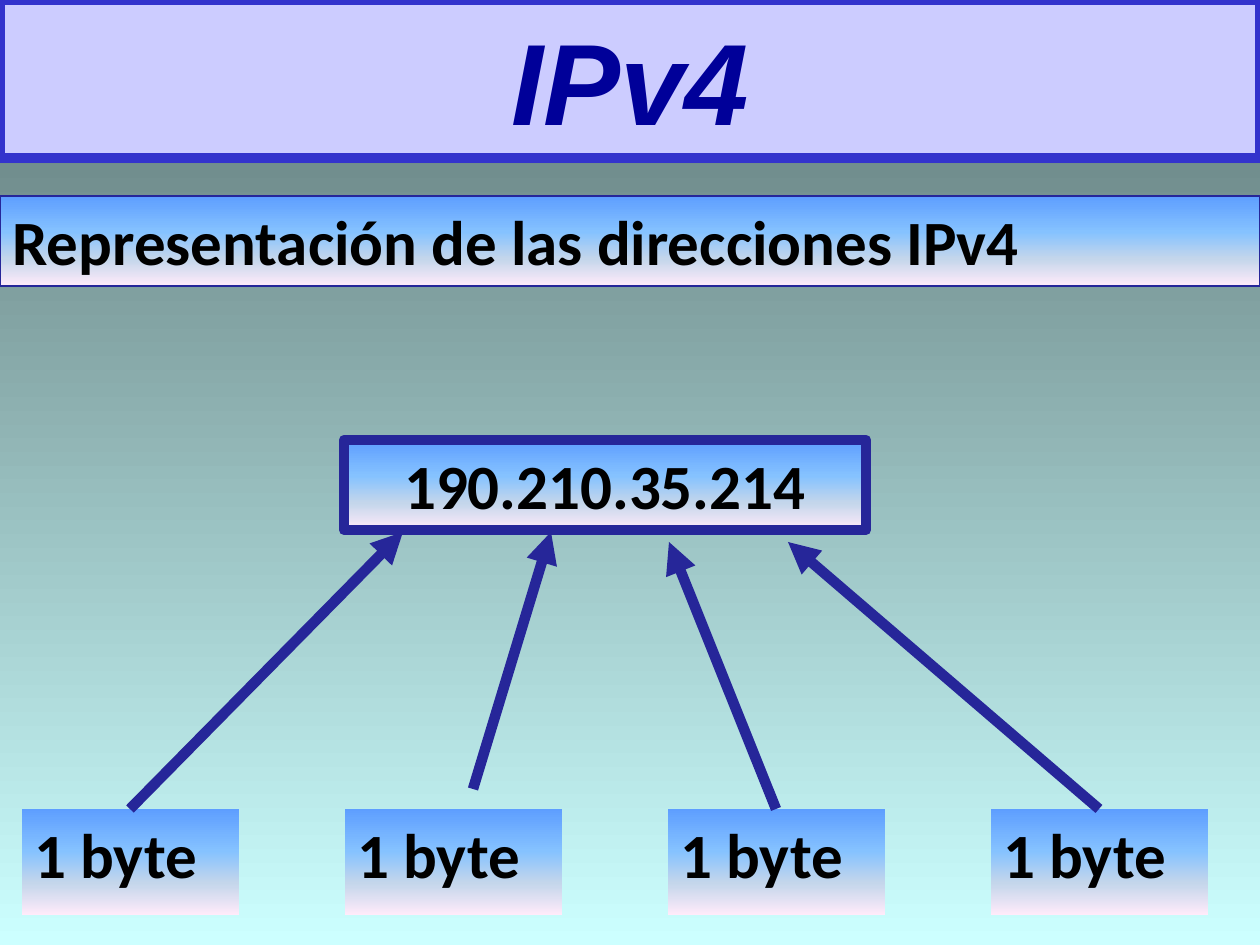
from dataclasses import dataclass

from lxml.etree import SubElement
from pptx import Presentation
from pptx.dml.color import RGBColor
from pptx.enum.shapes import MSO_CONNECTOR as Conn, MSO_SHAPE as Shape
from pptx.enum.text import MSO_ANCHOR as Anchor, PP_ALIGN as Align
from pptx.oxml.ns import qn
from pptx.util import Pt

EMU_PER_PX = 914400 / 126


@dataclass(frozen=True)
class Theme:
    """Colours, fonts and sizes of the slide."""
    title_fill: str = "CCCCFF"
    title_line: str = "3333CC"
    title_text: str = "000099"
    line: str = "262699"
    text: str = "000000"
    backdrop: tuple = ((0, "5E7676"), (100, "CCFFFF"))
    panel: tuple = ((0, "5E9EFF"), (40, "85C2FF"), (70, "C4D6EB"), (100, "FFEBFA"))
    title_font: str = "Arial"
    body_font: str = "Calibri"
    title_size: int = 66
    body_size: int = 36
    thin: float = 0.75
    thick: int = 6


THEME = Theme()


def px(n):
    """Convert pixels to EMU."""
    return round(n * EMU_PER_PX)


def rgb(color):
    """Return a colour object for a hex string."""
    return RGBColor.from_string(color)


def set_gradient(fill, stops):
    """Fill from top to bottom with the given stops."""
    fill.gradient()
    fill.gradient_angle = 270
    gs_lst = fill.gradient_stops[0]._gs.getparent()
    for gs in list(gs_lst):
        gs_lst.remove(gs)
    for pos, color in stops:
        gs = SubElement(gs_lst, qn("a:gs"), pos=str(pos * 1000))
        SubElement(gs, qn("a:srgbClr"), val=color)


def set_line(line, color, width):
    """Draw a solid line."""
    line.color.rgb = rgb(color)
    line.width = Pt(width)


def write(sp, text, size=THEME.body_size, font=THEME.body_font, color=THEME.text,
          italic=False, align=Align.LEFT, anchor=Anchor.TOP):
    """Put one bold formatted paragraph into a shape."""
    tf = sp.text_frame
    tf.word_wrap = True
    tf.vertical_anchor = anchor
    p = tf.paragraphs[0]
    p.alignment = align
    p.space_before = Pt(0)
    r = p.add_run()
    r.text = text
    r.font.size, r.font.name = Pt(size), font
    r.font.bold, r.font.italic = True, italic
    r.font.color.rgb = rgb(color)


def add_title(s, text, width, height):
    """Format the title placeholder as the top band."""
    sp = s.shapes.title
    sp.left, sp.top, sp.width, sp.height = 0, 0, px(width), px(height)
    sp.fill.solid()
    sp.fill.fore_color.rgb = rgb(THEME.title_fill)
    set_line(sp.line, THEME.title_line, THEME.thick)
    write(sp, text, size=THEME.title_size, font=THEME.title_font, color=THEME.title_text,
          italic=True, align=Align.CENTER, anchor=Anchor.MIDDLE)


def add_panel(s, text, left, top, width, height, border=None, align=Align.LEFT):
    """Add a gradient box with text and an optional border."""
    sp = s.shapes.add_shape(Shape.RECTANGLE, px(left), px(top), px(width), px(height))
    sp.shadow.inherit = False
    set_gradient(sp.fill, THEME.panel)
    if border:
        set_line(sp.line, THEME.line, border)
    else:
        sp.line.fill.background()
    write(sp, text, align=align)


def add_arrow(s, start, end):
    """Add a thick arrow that points at its end."""
    cxn = s.shapes.add_connector(Conn.STRAIGHT, *map(px, start + end))
    set_line(cxn.line, THEME.line, THEME.thick)
    SubElement(cxn.line._get_or_add_ln(), qn("a:tailEnd"), type="triangle")
    SubElement(cxn._element.spPr, qn("a:effectLst"))


def main():
    """Build the slide and save it."""
    prs = Presentation()
    prs.slide_width, prs.slide_height = px(1260), px(945)
    s = prs.slides.add_slide(prs.slide_layouts[5])
    set_gradient(s.background.fill, THEME.backdrop)
    add_title(s, "IPv4", 1260, 158)
    add_panel(s, "Representación de las direcciones IPv4", 0, 196, 1260, 90, border=THEME.thin)
    add_panel(s, "190.210.35.214", 344, 440, 522, 90, border=THEME.thick, align=Align.CENTER)
    for i in range(4):
        add_panel(s, "1 byte", 22 + 323 * i, 809, 217, 106)
    arrows = [((130, 809), (403, 532)), ((473, 789), (551, 532)),
              ((776, 809), (669, 542)), ((1099, 809), (788, 542))]
    for start, end in arrows:
        add_arrow(s, start, end)
    prs.save("out.pptx")


if __name__ == "__main__":
    main()
